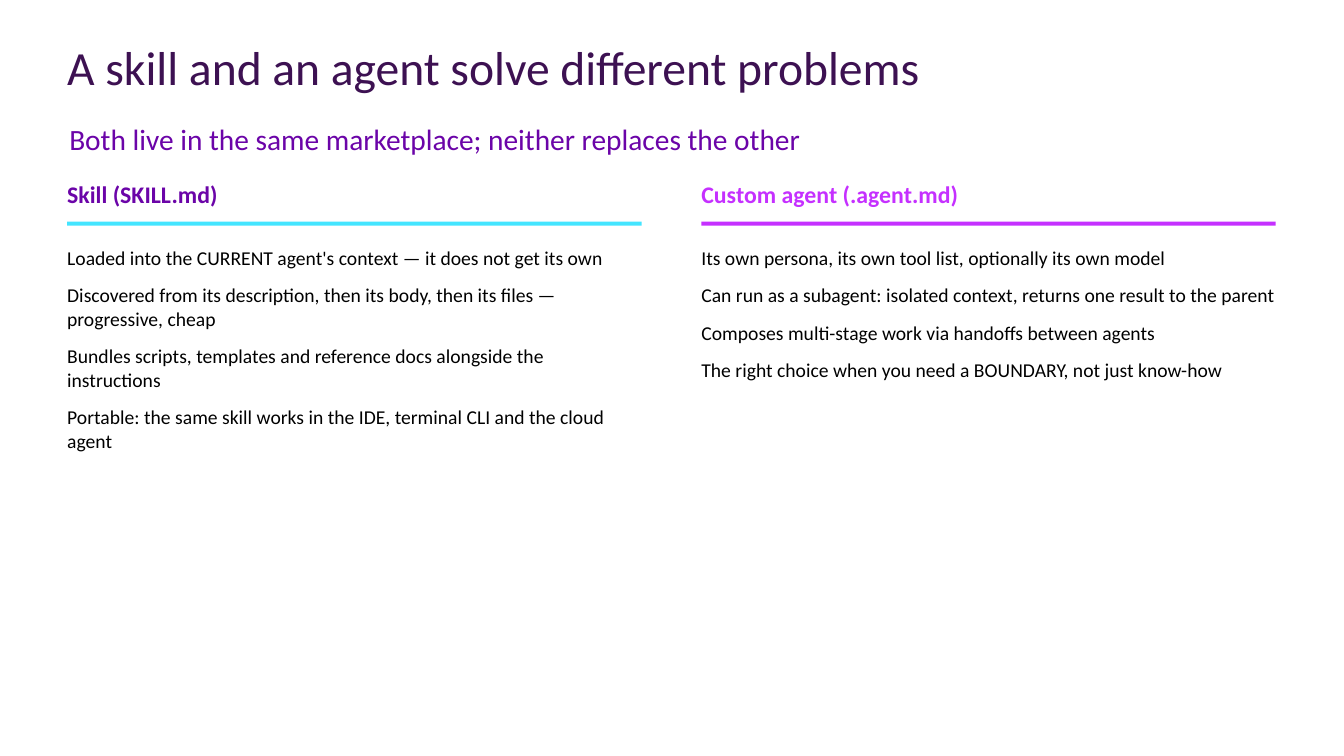
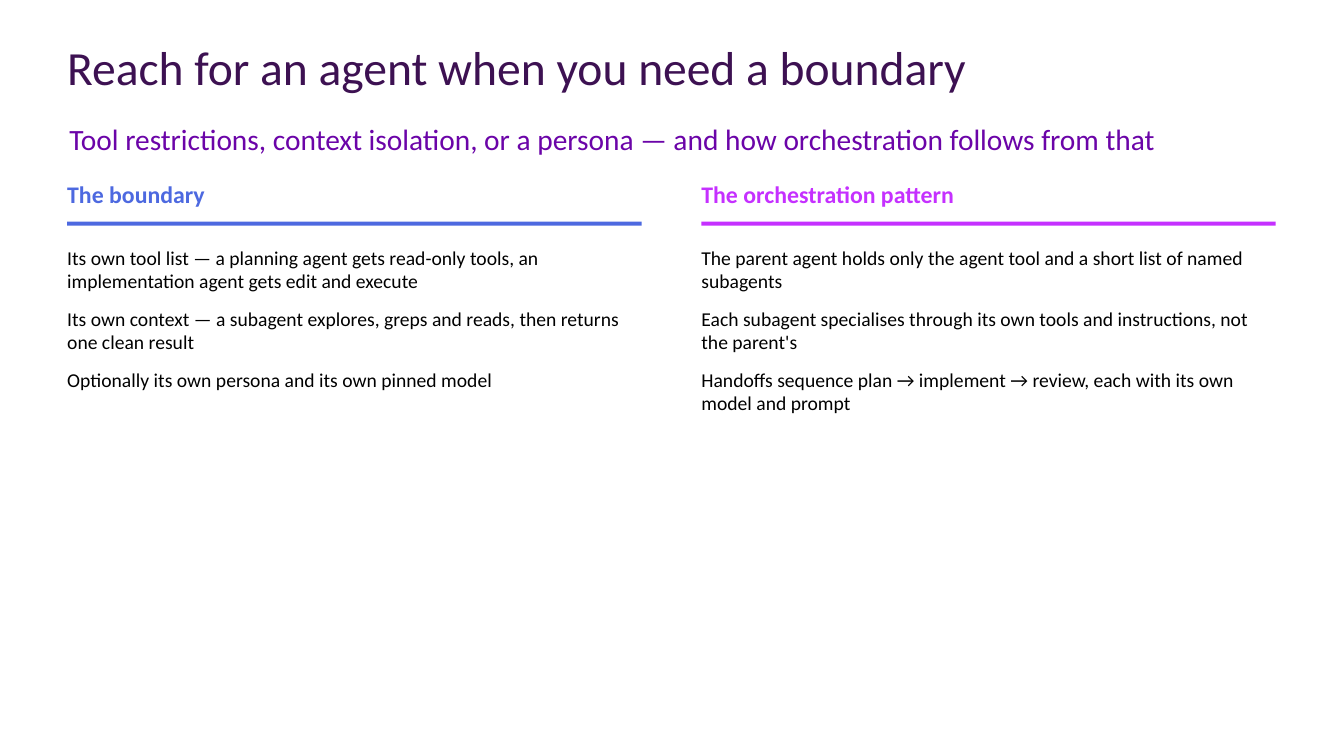
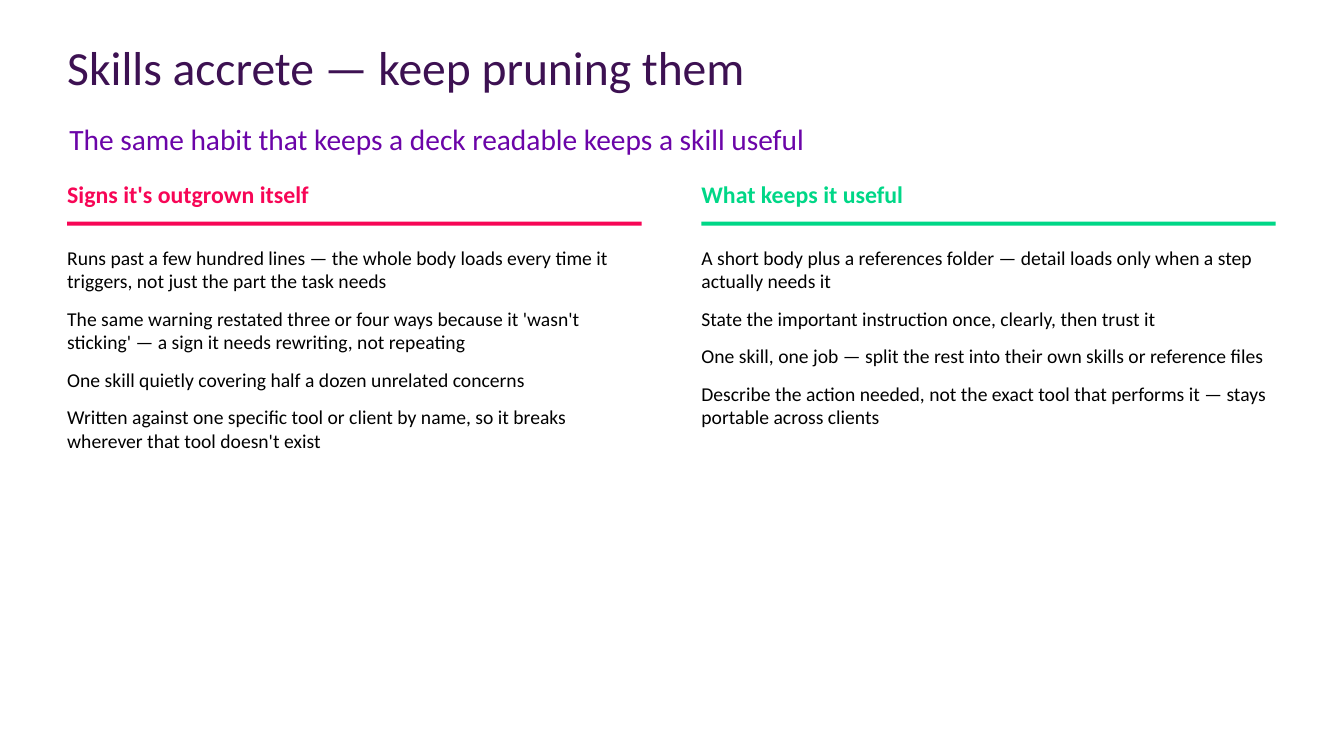
from dataclasses import dataclass

from pptx import Presentation
from pptx.dml.color import RGBColor
from pptx.enum.shapes import MSO_SHAPE
from pptx.enum.text import MSO_ANCHOR, MSO_AUTO_SIZE, PP_ALIGN
from pptx.util import Pt

RECT = MSO_SHAPE.RECTANGLE
TOP, MIDDLE = MSO_ANCHOR.TOP, MSO_ANCHOR.MIDDLE
LEFT = PP_ALIGN.LEFT
NO_FIT = MSO_AUTO_SIZE.NONE

EMU_PER_PX = 9525
SLIDE_W, SLIDE_H = 1280, 720
TITLE_ONLY = 5
MARGIN, CONTENT_W = 64, 1152
COL_W, COL_GAP = 547, 57


@dataclass(frozen=True)
class Theme:
    font: str = "Calibri"
    title: str = "3D1152"
    purple: str = "6B04A8"
    magenta: str = "C530FF"
    cyan: str = "44E5FF"
    blue: str = "4D69E0"
    red: str = "F70656"
    green: str = "00D787"
    body: str = "000000"
    title_size: int = 34
    subtitle_size: int = 21
    heading_size: int = 17
    body_size: int = 14


THEME = Theme()

# Each column: heading, heading colour, rule colour, points
SLIDES = [
    ("A skill and an agent solve different problems",
     "Both live in the same marketplace; neither replaces the other",
     [("Skill (SKILL.md)", THEME.purple, THEME.cyan, [
         "Loaded into the CURRENT agent's context — it does not get its own",
         "Discovered from its description, then its body, then its files — progressive, cheap",
         "Bundles scripts, templates and reference docs alongside the instructions",
         "Portable: the same skill works in the IDE, terminal CLI and the cloud agent"]),
      ("Custom agent (.agent.md)", THEME.magenta, THEME.magenta, [
          "Its own persona, its own tool list, optionally its own model",
          "Can run as a subagent: isolated context, returns one result to the parent",
          "Composes multi-stage work via handoffs between agents",
          "The right choice when you need a BOUNDARY, not just know-how"])]),
    ("Reach for an agent when you need a boundary",
     "Tool restrictions, context isolation, or a persona — and how orchestration follows from that",
     [("The boundary", THEME.blue, THEME.blue, [
         "Its own tool list — a planning agent gets read-only tools, "
         "an implementation agent gets edit and execute",
         "Its own context — a subagent explores, greps and reads, then returns one clean result",
         "Optionally its own persona and its own pinned model"]),
      ("The orchestration pattern", THEME.magenta, THEME.magenta, [
          "The parent agent holds only the agent tool and a short list of named subagents",
          "Each subagent specialises through its own tools and instructions, not the parent's",
          "Handoffs sequence plan → implement → review, each with its own model and prompt"])]),
    ("Skills accrete — keep pruning them",
     "The same habit that keeps a deck readable keeps a skill useful",
     [("Signs it's outgrown itself", THEME.red, THEME.red, [
         "Runs past a few hundred lines — the whole body loads every time it triggers, "
         "not just the part the task needs",
         "The same warning restated three or four ways because it 'wasn't sticking' — "
         "a sign it needs rewriting, not repeating",
         "One skill quietly covering half a dozen unrelated concerns",
         "Written against one specific tool or client by name, "
         "so it breaks wherever that tool doesn't exist"]),
      ("What keeps it useful", THEME.green, THEME.green, [
          "A short body plus a references folder — detail loads only when a step actually needs it",
          "State the important instruction once, clearly, then trust it",
          "One skill, one job — split the rest into their own skills or reference files",
          "Describe the action needed, not the exact tool that performs it — "
          "stays portable across clients"])]),
]


def px(n):
    return n * EMU_PER_PX


def write(tf, paragraphs, *, size, color, bold=False, anchor=TOP,
          line_spacing=None, space_after=None, inset_left=0):
    tf.auto_size = NO_FIT
    tf.word_wrap = True
    tf.vertical_anchor = anchor
    tf.margin_left = px(inset_left)
    tf.margin_top = tf.margin_right = tf.margin_bottom = 0
    for i, text in enumerate(paragraphs):
        p = tf.add_paragraph() if i else tf.paragraphs[0]
        p.alignment = LEFT
        if line_spacing is not None:
            p.line_spacing = line_spacing
        if space_after is not None:
            p.space_after = Pt(space_after)
        r = p.add_run()
        r.text = text
        r.font.name = THEME.font
        r.font.size = Pt(size)
        r.font.bold = bold
        r.font.color.rgb = RGBColor.from_string(color)


def add_text(s, x, y, w, h, *paragraphs, **fmt):
    box = s.shapes.add_textbox(px(x), px(y), px(w), px(h))
    write(box.text_frame, paragraphs, **fmt)


def set_title(s, text):
    sp = s.shapes.title
    sp.left, sp.top, sp.width, sp.height = map(px, (MARGIN, 27, CONTENT_W, 84))
    write(sp.text_frame, [text], size=THEME.title_size, color=THEME.title,
          anchor=MIDDLE, line_spacing=0.75)


def add_rule(s, x, y, w, color):
    sp = s.shapes.add_shape(RECT, px(x), px(y), px(w), px(4))
    sp.shadow.inherit = False
    sp.fill.solid()
    sp.fill.fore_color.rgb = RGBColor.from_string(color)
    sp.line.fill.background()


def add_column(s, x, heading, heading_color, rule_color, points):
    add_text(s, x, 171, COL_W, 33, heading,
             size=THEME.heading_size, color=heading_color, bold=True)
    add_rule(s, x, 211, COL_W, rule_color)
    add_text(s, x, 234, COL_W, 401, *points,
             size=THEME.body_size, color=THEME.body, space_after=10)


def add_comparison(prs, title, subtitle, columns):
    s = prs.slides.add_slide(prs.slide_layouts[TITLE_ONLY])
    set_title(s, title)
    add_text(s, MARGIN, 118, CONTENT_W, 34, subtitle, size=THEME.subtitle_size,
             color=THEME.purple, line_spacing=0.95, inset_left=2)
    for i, column in enumerate(columns):
        add_column(s, MARGIN + i * (COL_W + COL_GAP), *column)


def main():
    prs = Presentation()
    prs.slide_width, prs.slide_height = px(SLIDE_W), px(SLIDE_H)
    for content in SLIDES:
        add_comparison(prs, *content)
    prs.save("out.pptx")


if __name__ == "__main__":
    main()
